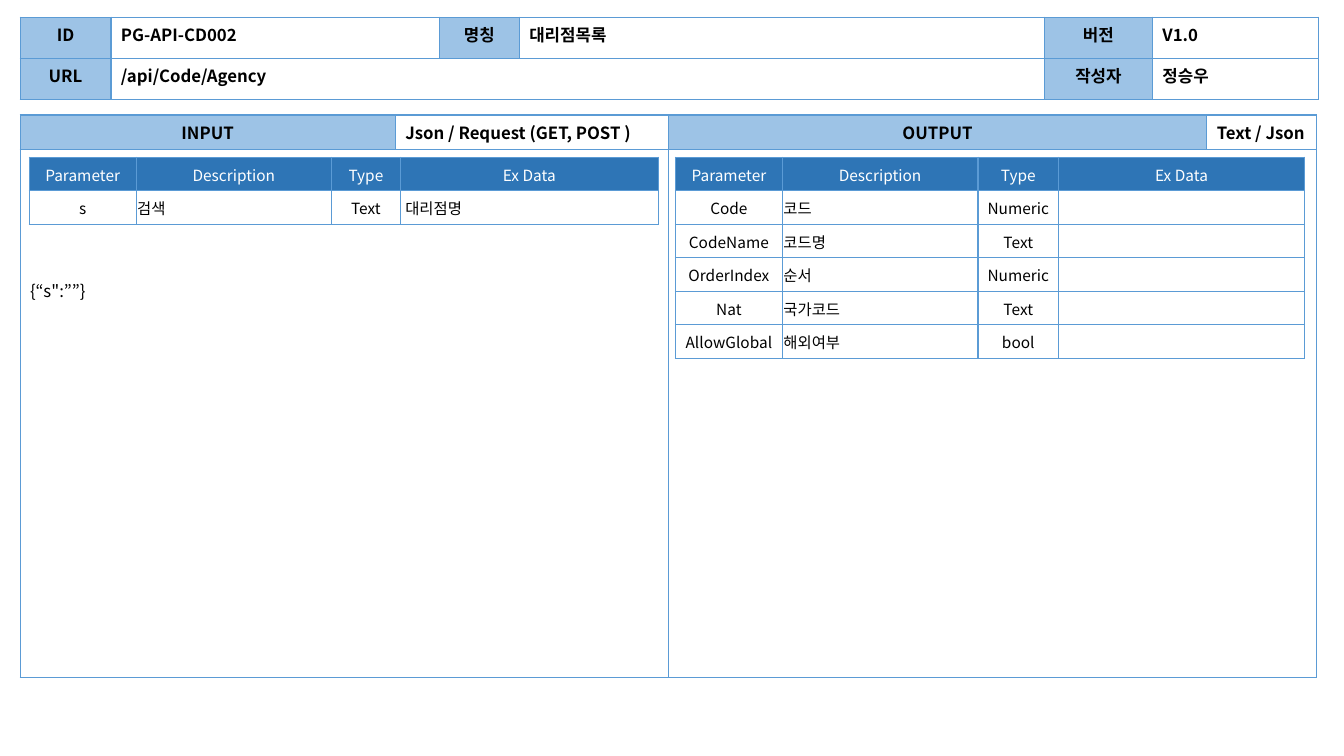
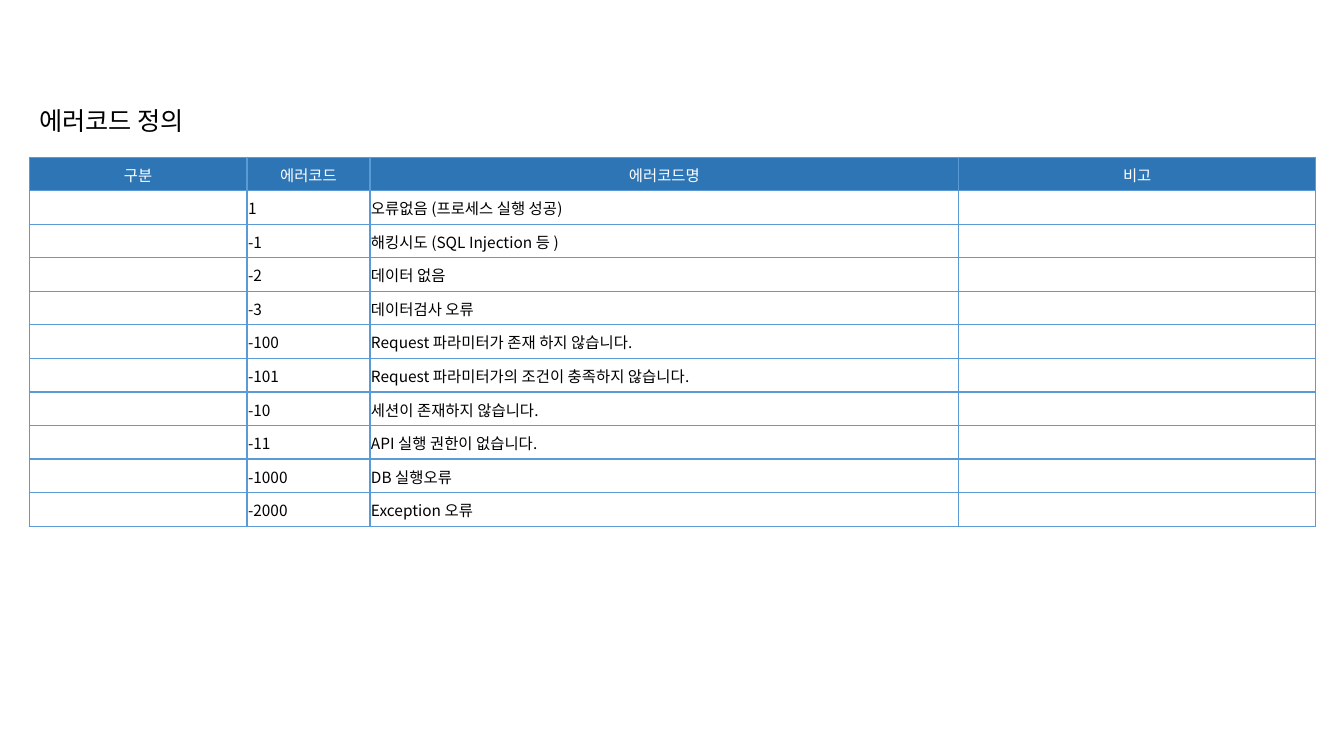
from lxml.etree import SubElement
from pptx import Presentation
from pptx.dml.color import RGBColor
from pptx.enum.text import MSO_ANCHOR, PP_ALIGN
from pptx.oxml.ns import qn
from pptx.util import Inches, Pt

FONT = "Noto Sans CJK KR"
BLACK = RGBColor(0x00, 0x00, 0x00)
WHITE = RGBColor(0xFF, 0xFF, 0xFF)
LABEL_BLUE = RGBColor(0x9D, 0xC3, 0xE6)
HEADER_BLUE = RGBColor(0x2E, 0x75, 0xB6)
BORDER_BLUE = RGBColor(0x5B, 0x9B, 0xD5)
ROW_HEIGHT = 0.333


def write(para, text, size, color=BLACK, bold=False):
    if text:
        span = para.add_run()
        span.text = text
        span.font.name = FONT
        span.font.size = Pt(size)
        span.font.bold = bold
        span.font.color.rgb = color
        SubElement(span.font._element, qn("a:ea"), typeface=FONT)
    else:
        SubElement(para._p, qn("a:endParaRPr"), sz=str(size * 100))


def add_grid(slide, left, top, widths, heights, rows, centred, listing=True):
    """Add a bordered table: a listing with a header row, or a form whose
    centred columns hold labels."""
    frame = slide.shapes.add_table(
        len(rows), len(widths), Inches(left), Inches(top),
        Inches(sum(widths)), Inches(sum(heights)))
    table = frame.table
    table.first_row = table.horz_banding = False
    for column, width in zip(table.columns, widths):
        column.width = Inches(width)
    for row, height in zip(table.rows, heights):
        row.height = Inches(height)

    for r, texts in enumerate(rows):
        for c, text in enumerate(texts):
            cell = table.cell(r, c)
            is_header = listing and r == 0
            is_label = not listing and c in centred and text
            para = cell.text_frame.paragraphs[0]
            if is_header or c in centred:
                para.alignment = PP_ALIGN.CENTER
            if listing:
                cell.vertical_anchor = MSO_ANCHOR.MIDDLE
                cell.margin_left = cell.margin_right = cell.margin_top = Inches(0.01)
                cell.margin_bottom = 0
                write(para, text, 11, WHITE if is_header else BLACK)
            else:
                write(para, text, 12, bold=True)

            properties = cell._tc.get_or_add_tcPr()
            for side in ("a:lnL", "a:lnR", "a:lnT", "a:lnB"):
                line = SubElement(properties, qn(side), w=str(Pt(1)))
                paint = SubElement(line, qn("a:solidFill"))
                SubElement(paint, qn("a:srgbClr"), val=str(BORDER_BLUE))
            cell.fill.solid()
            cell.fill.fore_color.rgb = (
                HEADER_BLUE if is_header else LABEL_BLUE if is_label else WHITE)
    return table


deck = Presentation()
deck.slide_width, deck.slide_height = Inches(13.33), Inches(7.5)
api_page, error_page = [deck.slides.add_slide(deck.slide_layouts[6]) for _ in range(2)]

# API definition
title_grid = add_grid(
    api_page, 0.2, 0.17, [0.9, 3.26, 0.79, 5.21, 1.07, 1.65], [0.41] * 2,
    [["ID", "PG-API-CD002", "명칭", "대리점목록", "버전", "V1.0"],
     ["URL", "/api/Code/Agency", "", "", "작성자", "정승우"]],
    centred={0, 2, 4}, listing=False)
title_grid.cell(1, 1).merge(title_grid.cell(1, 3))

body_grid = add_grid(
    api_page, 0.2, 1.14, [3.72, 2.71, 5.34, 1.09], [0.3, 5.24],
    [["INPUT", "Json / Request (GET, POST )", "OUTPUT", "Text / Json"], [""] * 4],
    centred={0, 2}, listing=False)
for first in (0, 2):
    body_grid.cell(1, first).merge(body_grid.cell(1, first + 1))

parameter_header = ["Parameter", "Description", "Type", "Ex Data"]
inputs = [parameter_header, ["s", "검색", "Text", "대리점명"]]
outputs = [
    parameter_header,
    ["Code", "코드", "Numeric", ""],
    ["CodeName", "코드명", "Text", ""],
    ["OrderIndex", "순서", "Numeric", ""],
    ["Nat", "국가코드", "Text", ""],
    ["AllowGlobal", "해외여부", "bool", ""],
]
input_grid = add_grid(api_page, 0.29, 1.56, [1.06, 1.94, 0.68, 2.56],
                      [ROW_HEIGHT] * len(inputs), inputs, centred={0, 2})
input_grid.cell(1, 3).margin_left = Inches(0.05)
add_grid(api_page, 6.7, 1.56, [1.06, 1.94, 0.8, 2.44],
         [ROW_HEIGHT] * len(outputs), outputs, centred={0, 2})

# Error codes
errors = [
    ("1", "오류없음 (프로세스 실행 성공)"),
    ("-1", "해킹시도 (SQL Injection 등 )"),
    ("-2", "데이터 없음"),
    ("-3", "데이터검사 오류"),
    ("-100", "Request 파라미터가 존재 하지 않습니다."),
    ("-101", "Request 파라미터가의 조건이 충족하지 않습니다."),
    ("-10", "세션이 존재하지 않습니다."),
    ("-11", "API 실행 권한이 없습니다."),
    ("-1000", "DB 실행오류"),
    ("-2000", "Exception 오류"),
]
error_rows = [["구분", "에러코드", "에러코드명", "비고"]]
error_rows += [["", code, name, ""] for code, name in errors]
add_grid(error_page, 0.29, 1.56, [2.16, 1.22, 5.84, 3.54],
         [ROW_HEIGHT] * len(error_rows), error_rows, centred=set())

# Free text
for page, left, top, width, height, text, size, wrap in (
    (api_page, 0.2, 2.74, 6.14, 0.3, "{“s\":””}", 12, True),
    (error_page, 0.29, 1, 1.81, 0.4, "에러코드 정의", 18, False),
):
    box = page.shapes.add_textbox(Inches(left), Inches(top), Inches(width), Inches(height))
    box.text_frame.word_wrap = wrap
    write(box.text_frame.paragraphs[0], text, size)

deck.save("out.pptx")
